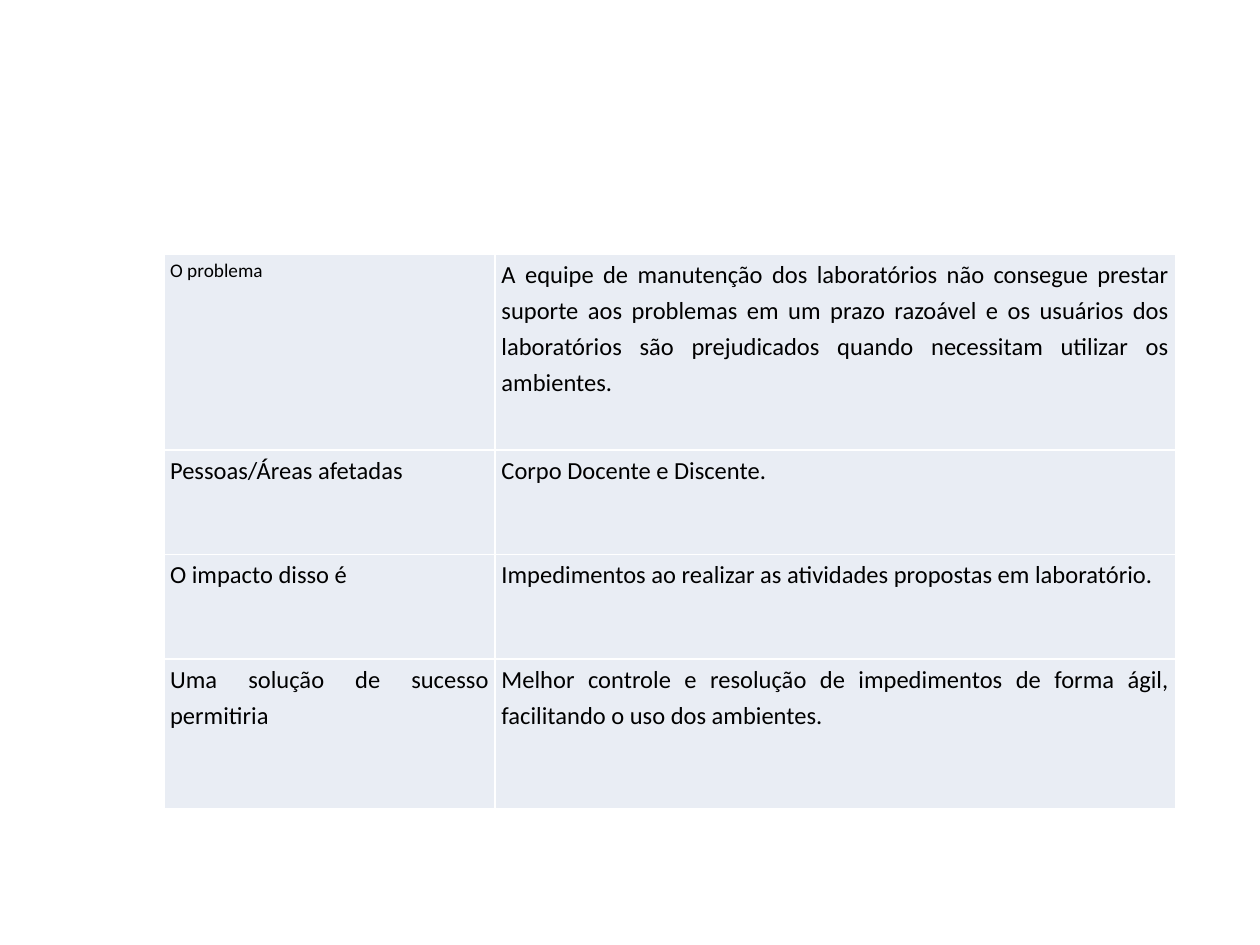
from lxml.etree import SubElement
from pptx import Presentation
from pptx.dml.color import RGBColor
from pptx.enum.text import PP_ALIGN as Align
from pptx.oxml.ns import qn
from pptx.util import Inches, Pt

COLORS = {"text": "000000", "cell": "E9EDF4", "border": "FFFFFF"}
FONT = "Calibri"
LABEL_SIZES = [11, 14, 14, 14]
COLUMN_WIDTHS = [2.63, 5.4]
ROW_HEIGHTS = [1.55, 0.83, 0.83, 1.19]
PROBLEM_ROWS = [
    ("O problema",
     "A equipe de manutenção dos laboratórios não consegue prestar suporte aos "
     "problemas em um prazo razoável e os usuários dos laboratórios são "
     "prejudicados quando necessitam utilizar os ambientes."),
    ("Pessoas/Áreas afetadas", "Corpo Docente e Discente."),
    ("O impacto disso é",
     "Impedimentos ao realizar as atividades propostas em laboratório."),
    ("Uma solução de sucesso permitiria",
     "Melhor controle e resolução de impedimentos de forma ágil, "
     "facilitando o uso dos ambientes."),
]


def set_borders(cell):
    """Draw a thin line on all four sides of a cell."""
    properties = cell._tc.get_or_add_tcPr()
    for position, side in enumerate(("a:lnL", "a:lnR", "a:lnT", "a:lnB")):
        line = properties.makeelement(qn(side), {"w": str(Pt(1))})
        fill = SubElement(line, qn("a:solidFill"))
        SubElement(fill, qn("a:srgbClr"), val=COLORS["border"])
        properties.insert(position, line)


def fill_cell(cell, text, size):
    """Write justified text in a cell and style the cell."""
    cell.margin_left = cell.margin_right = Inches(0.05)
    cell.margin_top = cell.margin_bottom = 0
    cell.fill.solid()
    cell.fill.fore_color.rgb = RGBColor.from_string(COLORS["cell"])
    set_borders(cell)
    paragraph = cell.text_frame.paragraphs[0]
    paragraph.alignment = Align.JUSTIFY
    paragraph.line_spacing = 1.2
    paragraph.space_before = Pt(6)
    run = paragraph.add_run()
    run.text = text
    run.font.name = FONT
    run.font.size = Pt(size)
    run.font.color.rgb = RGBColor.from_string(COLORS["text"])


def add_problem_table(slide, left, top):
    """Place the problem statement table with its corner at left, top."""
    table = slide.shapes.add_table(
        len(ROW_HEIGHTS), len(COLUMN_WIDTHS), Inches(left), Inches(top),
        Inches(sum(COLUMN_WIDTHS)), Inches(sum(ROW_HEIGHTS))).table
    table.first_row = False
    table.horz_banding = False
    for column, width in zip(table.columns, COLUMN_WIDTHS):
        column.width = Inches(width)
    for row, height, texts, label_size in zip(
            table.rows, ROW_HEIGHTS, PROBLEM_ROWS, LABEL_SIZES):
        row.height = Inches(height)
        for cell, text, size in zip(row.cells, texts, (label_size, 14)):
            fill_cell(cell, text, size)


def main():
    """Build the slide and save the presentation."""
    presentation = Presentation()
    presentation.slide_width = Inches(10)
    presentation.slide_height = Inches(7.5)
    slide = presentation.slides.add_slide(presentation.slide_layouts[6])
    add_problem_table(slide, 1.3, 2.02)
    presentation.save("out.pptx")


if __name__ == "__main__":
    main()
